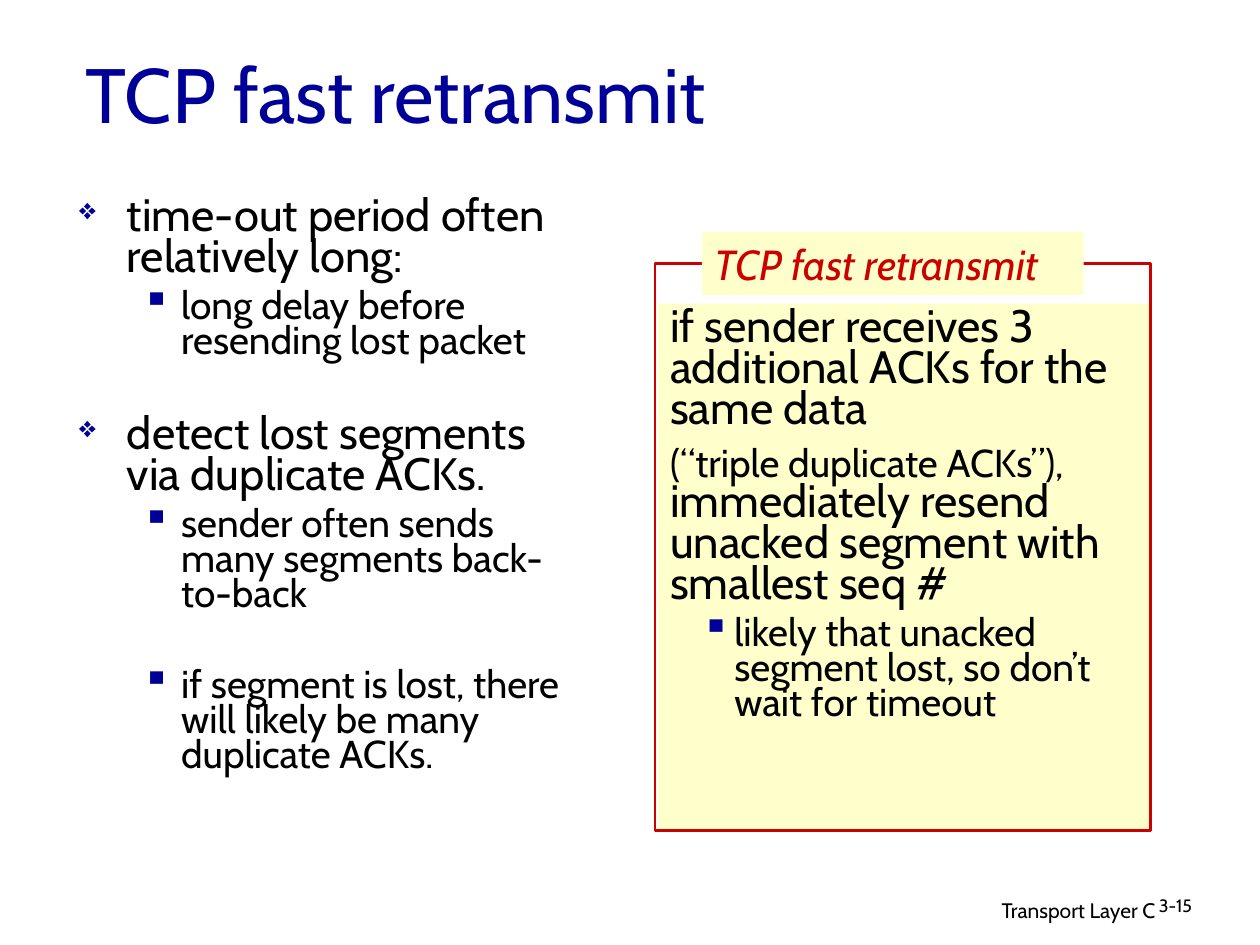
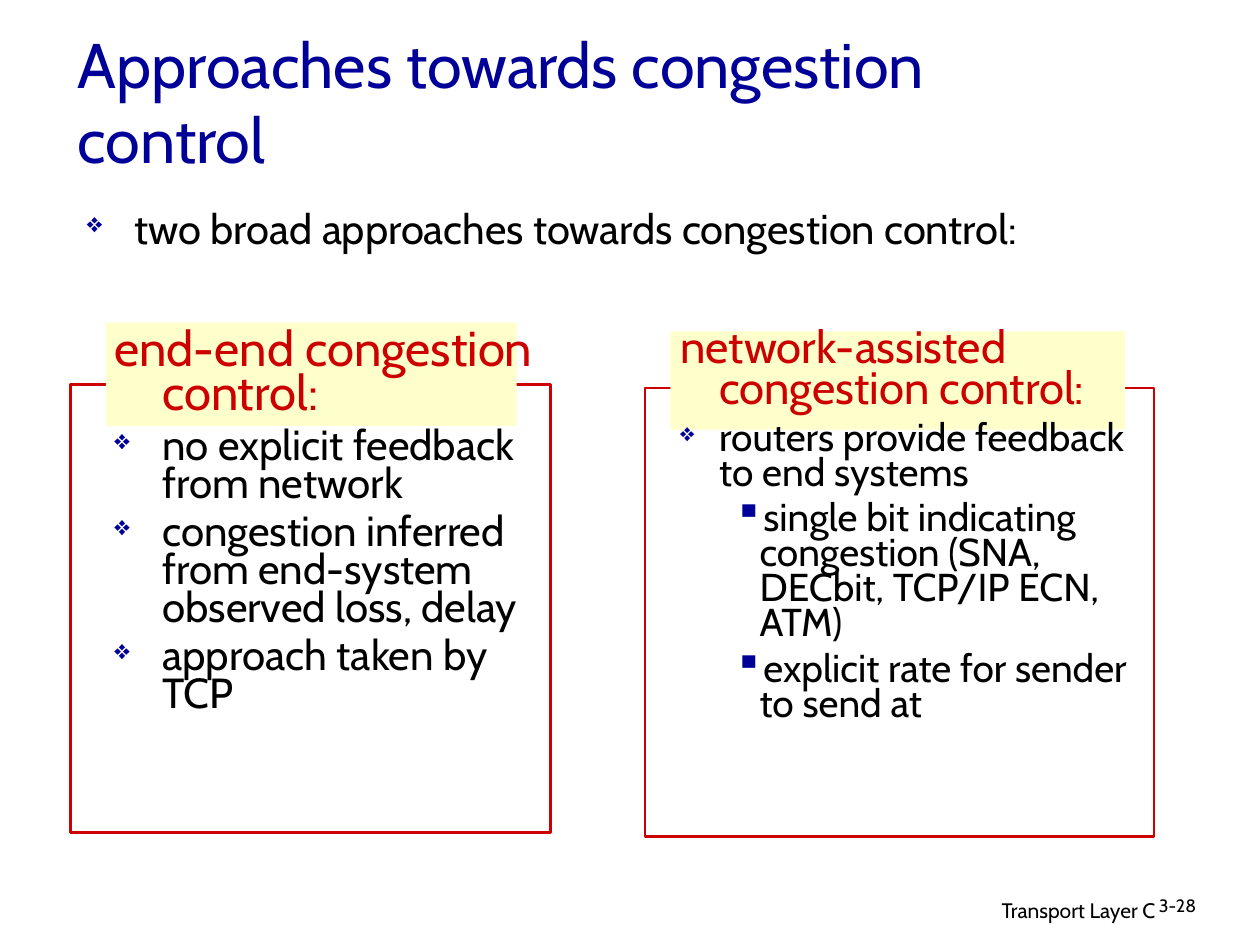
"""Build two lecture slides on TCP fast retransmit and congestion control."""
from lxml.etree import SubElement
from pptx import Presentation
from pptx.dml.color import RGBColor
from pptx.enum.shapes import MSO_SHAPE
from pptx.enum.text import MSO_ANCHOR, PP_ALIGN
from pptx.oxml.ns import qn
from pptx.util import Inches, Pt

FONT = "Cabin"
COLORS = {"title": "000099", "text": "000000", "accent": "CC0000", "panel": "FFFFCC"}
BULLETS = {"diamond": ("❖", 65), "square": ("▪", 100)}
TIGHT = 0.75
GAP = 32

FOOTER = "Transport Layer C"
FOOTER_AREA = (6.1, 7.07, 3.17, 0.31)
NUMBER_AREA = (9.1, 7.07, 0.74, 0.3)

DEEP = {"diamond": (0.38, -0.38), "heading": (0.38, -0.38), "square": (0.81, -0.31)}
NARROW = {"diamond": (0.31, -0.31), "heading": (0.31, -0.31), "square": (0.63, -0.2)}
RULE = {"plain": (0, 0), "square": (0.51, -0.26)}

TIMEOUT_POINTS = [
    ("diamond", "time-out period often relatively long:", 25.9, 0),
    ("square", "long delay before resending lost packet", 22.2, 6),
    ("diamond", "detect lost segments via duplicate ACKs.", 25.9, GAP),
    ("square", "sender often sends many segments back-to-back", 22.2, 6),
    ("square", "if segment is lost, there will likely be many duplicate ACKs.", 22.2, GAP),
]
RETRANSMIT_RULE = [
    ("plain", "if sender receives 3 additional ACKs for the same data", 25.9, 0),
    ("plain", [("(“triple duplicate ACKs”),", 22.2),
               (" immediately resend unacked segment with smallest seq #", 25.9)], 25.9, 7),
    ("square", "likely that unacked segment lost, so don’t wait for timeout", 22.2, 6),
]
INTRODUCTION = [("diamond", "two broad approaches towards congestion control:", 23.8, 0)]
END_TO_END = [
    ("heading", "end-end congestion control:", 28, 0),
    ("diamond", "no explicit feedback from network", 24, 6),
    ("diamond", "congestion inferred from end-system observed loss, delay", 24, 6),
    ("diamond", "approach taken by TCP", 24, 6),
]
NETWORK_ASSISTED = [
    ("heading", "network-assisted congestion control:", 25.9, 0),
    ("diamond", "routers provide feedback to end systems", 22.2, 6),
    ("square", "single bit indicating congestion (SNA, DECbit, TCP/IP ECN, ATM)", 22.2, 6),
    ("square", "explicit rate for sender to send at", 22.2, 6),
]
APPROACHES = [
    {"frame": (0.56, 3.05, 3.81, 3.56), "band": (0.84, 2.56, 3.26, 0.82),
     "body": (0.81, 2.58, 3.6, 4.17), "points": END_TO_END, "indents": DEEP},
    {"frame": (5.12, 3.08, 4.04, 3.56), "band": (5.32, 2.63, 3.61, 0.78),
     "body": (5.3, 2.58, 3.88, 4.27), "points": NETWORK_ASSISTED, "indents": NARROW},
]


def rgb(name):
    return RGBColor.from_string(COLORS[name])


def set_font(paragraph, size, color, italic=None):
    font = paragraph.font
    font.name, font.size, font.italic = FONT, Pt(size), italic
    font.color.rgb = rgb(color)


def add_text_box(slide, area, wrap=True):
    frame = slide.shapes.add_textbox(*map(Inches, area)).text_frame
    frame.word_wrap = wrap
    return frame


def add_line_of_text(slide, area, text, size, color="text", wrap=True, italic=None):
    frame = add_text_box(slide, area, wrap)
    paragraph = frame.paragraphs[0]
    paragraph.text = text
    set_font(paragraph, size, color, italic)
    return frame


def add_rectangle(slide, area, fill=None, line=None):
    shape = slide.shapes.add_shape(MSO_SHAPE.RECTANGLE, *map(Inches, area))
    shape.shadow.inherit = False
    if fill:
        shape.fill.solid()
        shape.fill.fore_color.rgb = rgb(fill)
    else:
        shape.fill.background()
    if line:
        shape.line.color.rgb = rgb(line)
        shape.line.width = Pt(1.5)
    else:
        shape.line.fill.background()


def set_bullet(paragraph, kind, indents):
    properties = paragraph._p.get_or_add_pPr()
    margin, indent = indents[kind]
    properties.set("marL", str(Inches(margin)))
    properties.set("indent", str(Inches(indent)))
    if kind not in BULLETS:
        SubElement(properties, qn("a:buNone"))
        return
    character, percent = BULLETS[kind]
    color = SubElement(properties, qn("a:buClr"))
    SubElement(color, qn("a:srgbClr"), val=COLORS["title"])
    SubElement(properties, qn("a:buSzPct"), val=str(percent * 1000))
    SubElement(properties, qn("a:buChar"), char=character)


def add_points(slide, area, points, indents):
    frame = add_text_box(slide, area)
    for index, (kind, text, size, before) in enumerate(points):
        paragraph = frame.add_paragraph() if index else frame.paragraphs[0]
        paragraph.level = int(kind == "square")
        set_bullet(paragraph, kind, indents)
        paragraph.line_spacing = TIGHT
        if before:
            paragraph.space_before = Pt(before)
        set_font(paragraph, size, "accent" if kind == "heading" else "text")
        if isinstance(text, str):
            paragraph.text = text
            continue
        for part, part_size in text:
            run = paragraph.add_run()
            run.text = part
            run.font.size = Pt(part_size)


def add_base_slide(presentation, title, area, size, number):
    slide = presentation.slides.add_slide(presentation.slide_layouts[6])
    footer = add_line_of_text(slide, FOOTER_AREA, FOOTER, 12)
    footer.paragraphs[0].alignment = PP_ALIGN.RIGHT
    page = add_line_of_text(slide, NUMBER_AREA, number, 10.2)
    page.paragraphs[0].line_spacing = 0.9
    heading = add_line_of_text(slide, area, title, size, "title")
    heading.vertical_anchor = MSO_ANCHOR.MIDDLE
    return slide


def build_retransmit_slide(presentation):
    title = "TCP fast retransmit"
    slide = add_base_slide(presentation, title, (0.58, 0.24, 5.51, 0.99), 44, "3-15")
    add_points(slide, (0.53, 1.53, 4.17, 5.65), TIMEOUT_POINTS, DEEP)
    panel, label = (5.22, 2.41, 3.9, 4.17), (5.57, 1.84, 3.03, 0.5)
    add_rectangle(slide, panel, fill="panel")
    add_points(slide, panel, RETRANSMIT_RULE, RULE)
    add_rectangle(slide, (5.2, 2.09, 3.93, 4.5), line="accent")
    add_rectangle(slide, label, fill="panel")
    add_line_of_text(slide, label, title, 24, "accent", wrap=False, italic=True)


def build_approaches_slide(presentation):
    slide = add_base_slide(presentation, "Approaches towards congestion control",
                           (0.52, 0.3, 8.5, 1), 36, "3-28")
    add_points(slide, (0.59, 1.65, 8.92, 0.6), INTRODUCTION, DEEP)
    for approach in APPROACHES:
        add_rectangle(slide, approach["frame"], line="accent")
        add_rectangle(slide, approach["band"], fill="panel")
        add_points(slide, approach["body"], approach["points"], approach["indents"])


def main():
    presentation = Presentation()
    presentation.slide_width, presentation.slide_height = Inches(10), Inches(7.5)
    build_retransmit_slide(presentation)
    build_approaches_slide(presentation)
    presentation.save("out.pptx")


if __name__ == "__main__":
    main()
